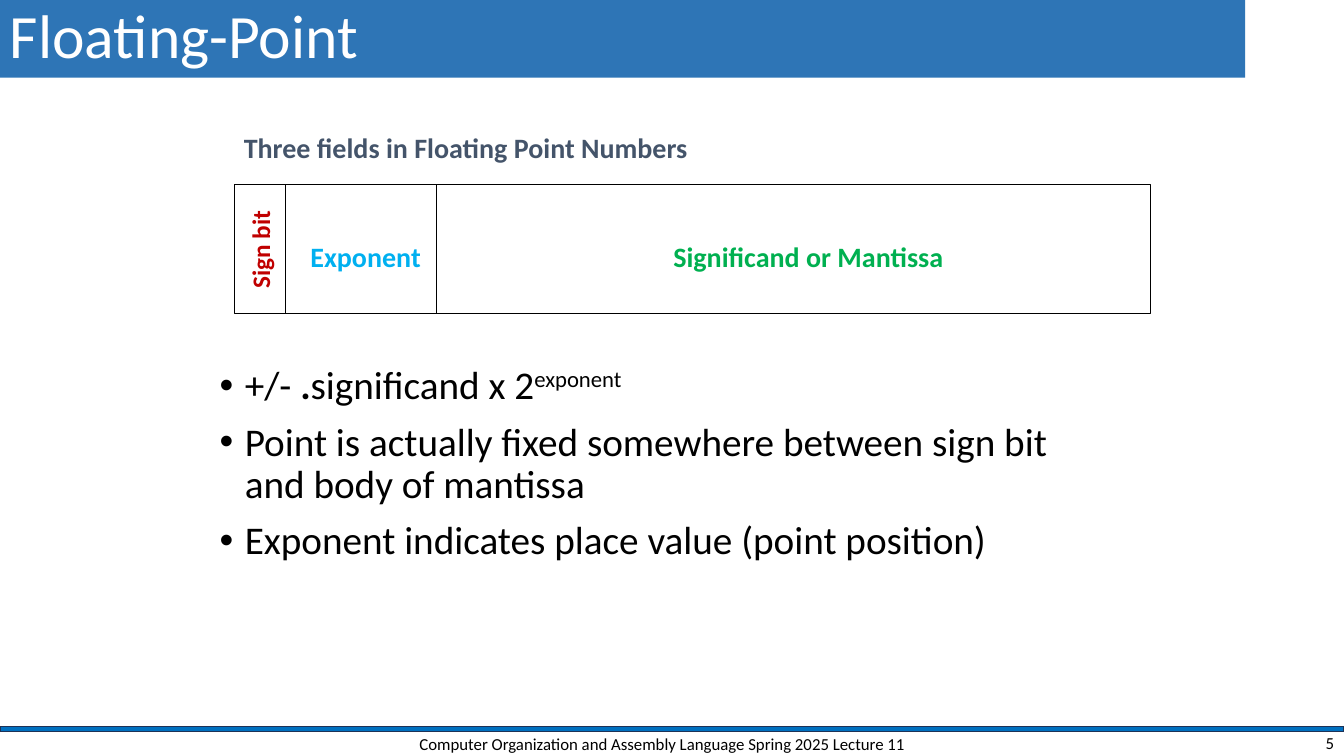
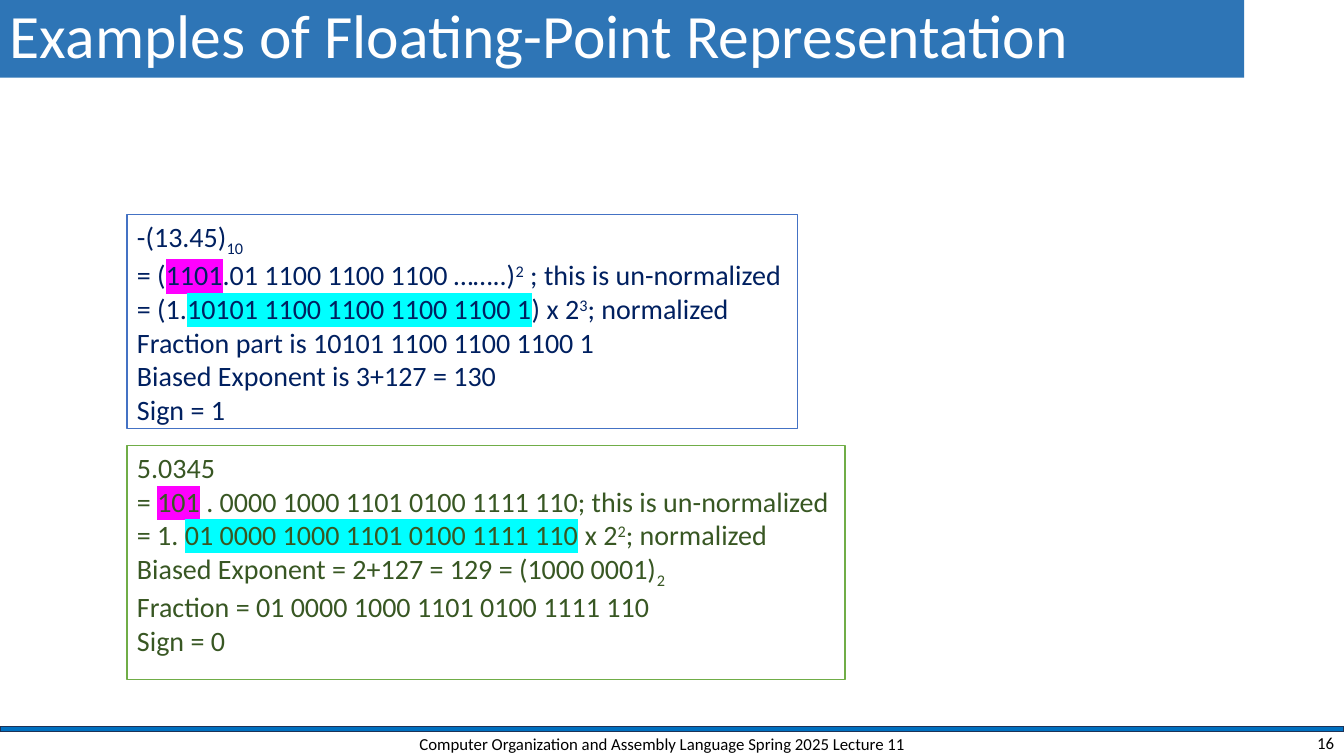
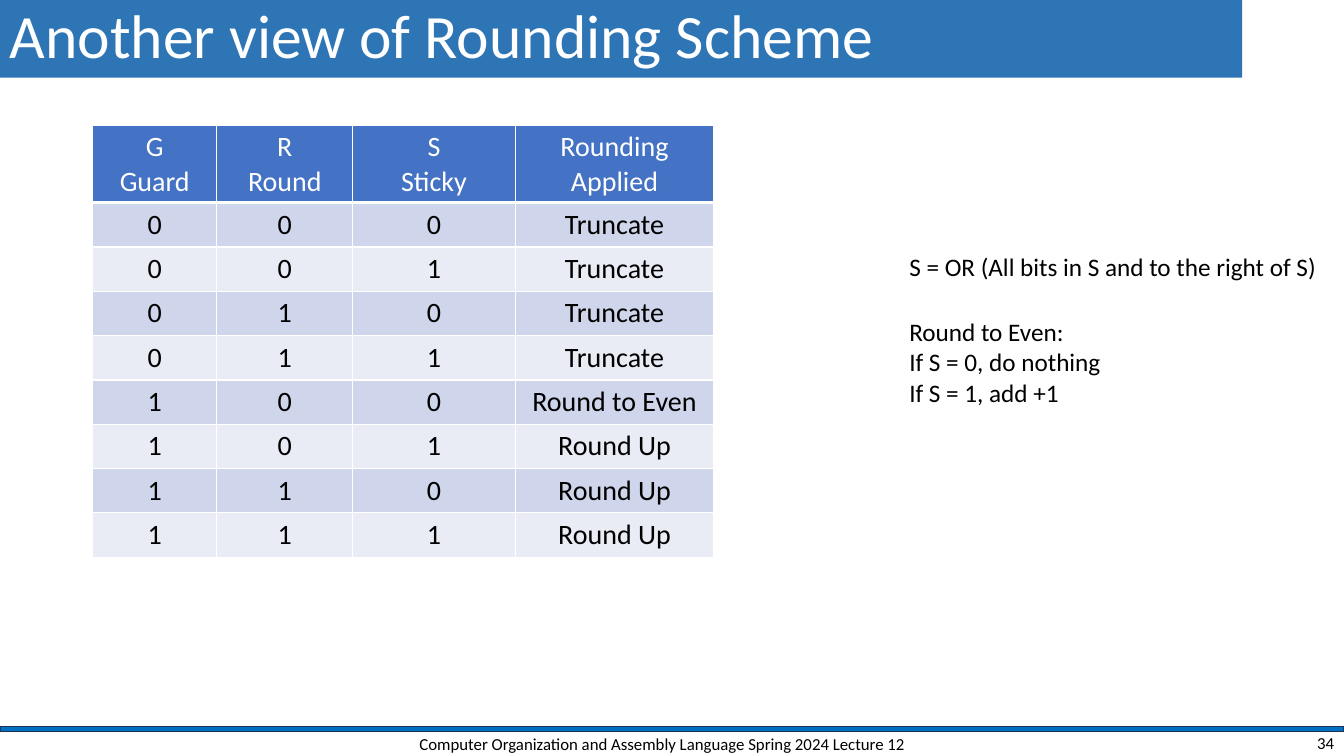
from pptx import Presentation
from pptx.dml.color import RGBColor as RGB
from pptx.enum.shapes import MSO_SHAPE as Kind
from pptx.enum.text import MSO_ANCHOR as Anchor, MSO_AUTO_SIZE as Fit, PP_ALIGN as Align
from pptx.oxml.ns import qn
from pptx.util import Inches, Pt
from lxml.etree import SubElement as Sub, Element

WHITE, BLACK = RGB(255, 255, 255), RGB(0, 0, 0)
BAND, RULE, EDGE = RGB(0x2E, 0x75, 0xB6), RGB(0, 0x70, 0xC0), RGB(0x1E, 0x32, 0x56)
RED, SKY, LEAF = RGB(0xC0, 0, 0), RGB(0, 0xB0, 0xF0), RGB(0, 0xB0, 0x50)
SLATE, NAVY, MOSS = RGB(0x44, 0x54, 0x6A), RGB(0, 0x20, 0x60), RGB(0x38, 0x57, 0x23)
BLUE, GREEN = RGB(0x44, 0x72, 0xC4), RGB(0x70, 0xAD, 0x47)
DARK, LIGHT = RGB(0xCF, 0xD5, 0xEA), RGB(0xE9, 0xEB, 0xF5)
PINK, AQUA = RGB(255, 0, 255), RGB(0, 255, 255)

# Run marks
SUP, SUB, BOLD = {"base": 30000}, {"base": -25000}, {"bold": True}
HOT, COOL = {"mark": PINK}, {"mark": AQUA}


def style(run, size, color, base=None, mark=None, **font):
    for key, val in {"name": "Calibri", "size": Pt(size), **font}.items():
        setattr(run.font, key, val)
    run.font.color.rgb = color
    props = run.font._element
    if base:
        props.set("baseline", str(base))
    if mark:
        glow = Element(qn("a:highlight"))
        Sub(glow, qn("a:srgbClr"), val=str(mark))
        props.find(qn("a:latin")).addprevious(glow)


def write(frame, paras, fmt, **layout):
    """Fill a frame; a paragraph is a string or a list of strings and (text, marks)."""
    for i, runs in enumerate(paras):
        para = frame.paragraphs[0] if i == 0 else frame.add_paragraph()
        for key, val in {"alignment": Align.LEFT, **layout}.items():
            setattr(para, key, val)
        for part in [runs] if isinstance(runs, str) else runs:
            text, marks = (part, {}) if isinstance(part, str) else part
            run = para.add_run()
            run.text = text
            style(run, **{**fmt, **marks})


def rect(slide, box, fill=None, line=None, width=1):
    shape = slide.shapes.add_shape(Kind.RECTANGLE, *map(Inches, box))
    shape.shadow.inherit = False
    if fill is None:
        shape.fill.background()
    else:
        shape.fill.solid()
        shape.fill.fore_color.rgb = fill
    if line is None:
        shape.line.fill.background()
    else:
        shape.line.color.rgb = line
        shape.line.width = Pt(width)
    return shape


def setup(shape, **values):
    for key, val in values.items():
        setattr(shape.text_frame, key, val)
    return shape.text_frame


def label(slide, box, paras, size, color, **font):
    """Unwrapped text that sizes its own box."""
    shape = slide.shapes.add_textbox(*map(Inches, box))
    frame = setup(shape, word_wrap=False, auto_size=Fit.SHAPE_TO_FIT_TEXT)
    write(frame, paras, {"size": size, "color": color, **font})
    return shape


def base(deck, title, width, foot, num):
    """Title band, bottom rule and footer common to all slides."""
    slide = deck.slides.add_slide(deck.slide_layouts[6])
    rect(slide, (0, 7.21, 13.33, 0.05), RULE, EDGE)
    band = rect(slide, (0, 0, width, 0.77), BAND)
    frame = setup(band, word_wrap=True, vertical_anchor=Anchor.MIDDLE)
    write(frame, [title], {"size": 44, "color": WHITE}, line_spacing=0.9)
    for box, text, side in (((3.92, 7.24, 5.3, 0.28), foot, Align.CENTER),
                            ((10.33, 7.24, 3, 0.25), str(num), Align.RIGHT)):
        shape = slide.shapes.add_textbox(*map(Inches, box))
        frame = setup(shape, word_wrap=True, vertical_anchor=Anchor.MIDDLE)
        write(frame, [text], {"size": 12, "color": BLACK}, alignment=side)
    return slide


def fields(slide, left, top):
    """Number layout: sign, exponent and significand side by side."""
    label(slide, (left - 0.01, top - 0.58, 4.64, 0.44),
          ["Three fields in Floating Point Numbers"], 20, SLATE, bold=True)
    x = left
    for wide in (0.5, 1.5, 7.08):
        rect(slide, (x, top, wide, 1.28), line=BLACK, width=0.75)
        x += wide
    sign = label(slide, (left - 0.24, top + 0.44, 0.98, 0.4), ["Sign bit"], 18, RED, bold=True)
    sign.rotation = 270
    for dx, wide, text, color in ((0.65, 1.31, "Exponent", SKY),
                                  (4.25, 2.91, "Significand or Mantissa", LEAF)):
        label(slide, (left + dx, top + 0.5, wide, 0.44), [text], 20, color, bold=True)


def bullets(slide, box, paras):
    shape = slide.shapes.add_textbox(*map(Inches, box))
    frame = setup(shape, word_wrap=True)
    write(frame, paras, {"size": 28, "color": BLACK}, line_spacing=0.9, space_before=Pt(10))
    for para in frame.paragraphs:
        props = para._p.get_or_add_pPr()
        props.set("marL", str(Inches(0.25)))
        props.set("indent", str(-Inches(0.25)))
        Sub(props, qn("a:buFont"), typeface="Arial")
        Sub(props, qn("a:buChar"), char="•")


def sample(slide, box, paras, color, line):
    """Outlined worked example."""
    shape = rect(slide, box, WHITE, line)
    frame = setup(shape, word_wrap=False, vertical_anchor=Anchor.TOP,
                  auto_size=Fit.SHAPE_TO_FIT_TEXT)
    write(frame, paras, {"size": 20, "color": color})


def border(cell, low):
    props = cell._tc.get_or_add_tcPr()
    for side, wide in (("L", 1), ("R", 1), ("T", 1), ("B", low)):
        line = Sub(props, qn("a:ln" + side), w=str(Pt(wide)))
        Sub(Sub(line, qn("a:solidFill")), qn("a:srgbClr"), val=str(WHITE))


def grid(slide, left, top, cols, rows):
    """Banded table with a two-line header."""
    highs = [0.77] + [0.44] * (len(rows) - 1)
    box = (left, top, sum(cols), sum(highs))
    table = slide.shapes.add_table(len(rows), len(cols), *map(Inches, box)).table
    for col, wide in zip(table.columns, cols):
        col.width = Inches(wide)
    for i, (row, high) in enumerate(zip(rows, highs)):
        table.rows[i].height = Inches(high)
        fill = BLUE if i == 0 else DARK if i % 2 else LIGHT
        for j, text in enumerate(row):
            cell = table.cell(i, j)
            border(cell, 1 if i else 3)
            cell.fill.solid()
            cell.fill.fore_color.rgb = fill
            write(cell.text_frame, text.split("\n"),
                  {"size": 20, "color": BLACK if i else WHITE, "bold": False},
                  alignment=Align.CENTER)


def main():
    deck = Presentation()
    deck.slide_width, deck.slide_height = Inches(13.33), Inches(7.5)
    course = "Computer Organization and Assembly Language Spring "

    # Number fields
    slide = base(deck, "Floating-Point", 12.35, course + "2025 Lecture 11", 5)
    bullets(slide, (2.08, 3.58, 9.03, 3.67), [
        ["+/- ", (".", BOLD), "significand x 2", ("exponent", SUP)],
        "Point is actually fixed somewhere between sign bit and body of mantissa",
        "Exponent indicates place value (point position)"])
    fields(slide, 2.33, 1.83)

    # Worked examples
    slide = base(deck, "Examples of Floating-Point Representation", 12.34,
                 course + "2025 Lecture 11", 16)
    sample(slide, (1.26, 2.13, 6.65, 2.12), [
        ["-(13.45)", ("10", SUB)],
        ["= (", ("1101", HOT), ".01 1100 1100 1100 ……..)", ("2", SUP),
         " ; this is un-normalized"],
        ["= (1.", ("10101 1100 1100 1100 1100 1", COOL), ") x 2", ("3", SUP), "; normalized"],
        "Fraction part is 10101 1100 1100 1100 1",
        "Biased Exponent is 3+127 = 130",
        "Sign = 1"], NAVY, BLUE)
    sample(slide, (1.26, 4.42, 7.12, 2.32), [
        "5.0345",
        ["= ", ("101", HOT), " . 0000 1000 1101 0100 1111 110; this is un-normalized"],
        ["= 1. ", ("01 0000 1000 1101 0100 1111 110", COOL), " x 2", ("2", SUP),
         "; normalized"],
        ["Biased Exponent = 2+127 = 129 = (1000 0001)", ("2", SUB)],
        "Fraction = 01 0000 1000 1101 0100 1111 110",
        "Sign = 0"], MOSS, GREEN)

    # Rounding table
    slide = base(deck, "Another view of Rounding Scheme", 12.32,
                 course + "2024 Lecture 12", 34)
    acts = ["Truncate"] * 4 + ["Round to Even"] + ["Round Up"] * 3
    rows = [["G\nGuard", "R\nRound", "S\nSticky", "Rounding Applied"]]
    rows += [[*f"{i:03b}", act] for i, act in enumerate(acts)]
    grid(slide, 0.92, 1.24, (1.23, 1.35, 1.61, 1.97), rows)
    label(slide, (8.92, 2.44, 4.29, 0.4),
          ["S = OR (All bits in S and to the right of S)"], 18, BLACK)
    label(slide, (8.92, 3.09, 2.13, 1.01),
          ["Round to Even:", "If S = 0, do nothing", "If S = 1, add +1"], 18, BLACK)

    deck.save("out.pptx")


if __name__ == "__main__":
    main()
